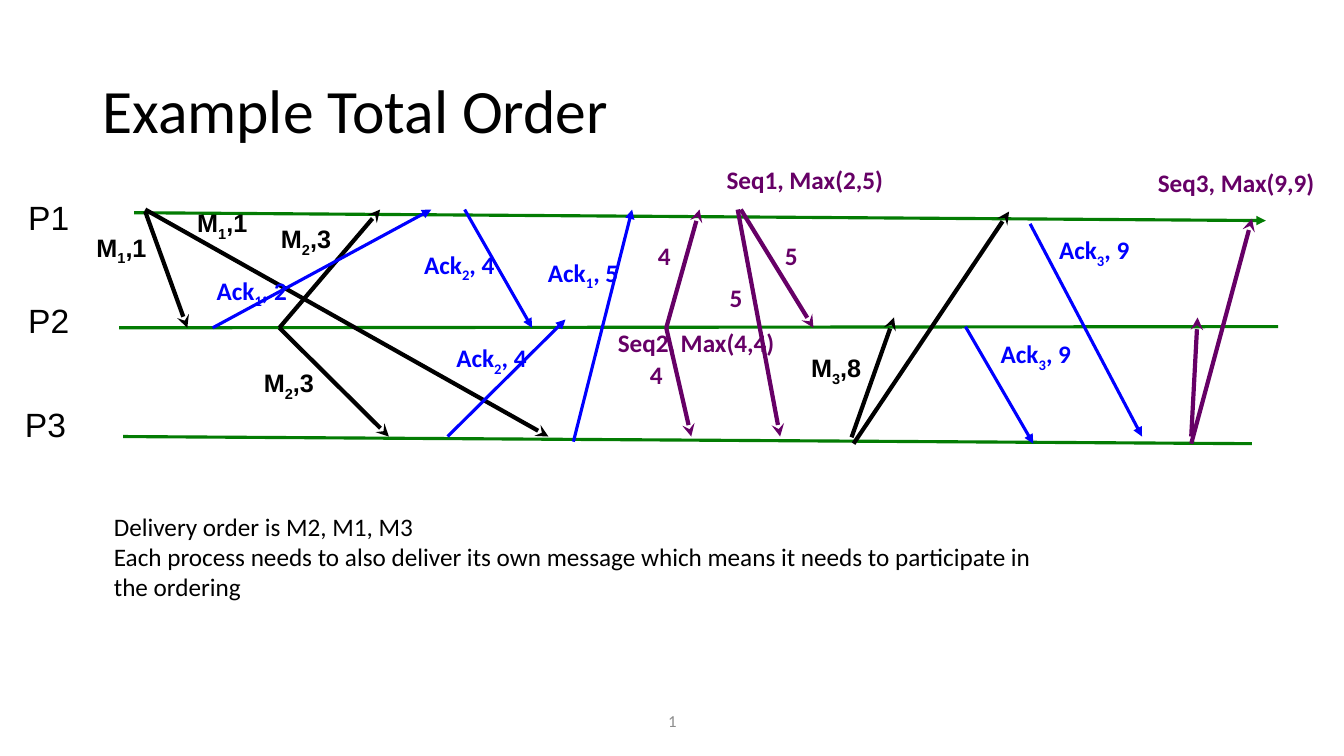
import pptx
import pptx.util
import pptx.dml.color
import pptx.enum.shapes
import pptx.enum.text
import pptx.oxml.ns
import lxml.etree

Cm = pptx.util.Cm
BLACK = pptx.dml.color.RGBColor(0x00, 0x00, 0x00)
GREEN = pptx.dml.color.RGBColor(0x03, 0x7C, 0x03)
BLUE = pptx.dml.color.RGBColor(0x00, 0x00, 0xFF)
PURPLE = pptx.dml.color.RGBColor(0x66, 0x00, 0x66)
GRAY = pptx.dml.color.RGBColor(0x8C, 0x8C, 0x8C)

presentation = pptx.Presentation()
presentation.slide_width = Cm(33.87)
presentation.slide_height = Cm(19.05)
slide = presentation.slides.add_slide(presentation.slide_layouts[6])


def add_line(points, color, width, arrowhead=None):
    connector = slide.shapes.add_connector(
        pptx.enum.shapes.MSO_CONNECTOR.STRAIGHT, *[Cm(value) for value in points])
    connector.line.color.rgb = color
    connector.line.width = pptx.util.Pt(width)
    if arrowhead:
        lxml.etree.SubElement(
            connector.line._get_or_add_ln(), pptx.oxml.ns.qn("a:tailEnd"), type=arrowhead)
    lxml.etree.SubElement(connector._element.spPr, pptx.oxml.ns.qn("a:effectLst"))


def add_text(text, box, size, color, font="Calibri", bold=False, wrap=True):
    text_box = slide.shapes.add_textbox(*[Cm(value) for value in box])
    text_frame = text_box.text_frame
    text_frame.word_wrap = wrap
    for index, line in enumerate(text.split("\n")):
        paragraph = text_frame.add_paragraph() if index else text_frame.paragraphs[0]
        for position, part in enumerate(line.split("_")):
            run = paragraph.add_run()
            run.text = part
            run.font.name = font
            run.font.size = pptx.util.Pt(size)
            run.font.bold = bold
            run.font.color.rgb = color
            if position % 2:
                run.font._element.set("baseline", "-25000")
    return text_frame


title = add_text("Example Total Order", (2.33, 1.01, 29.21, 3.68), 44, BLACK)
title.vertical_anchor = pptx.enum.text.MSO_ANCHOR.MIDDLE
title.paragraphs[0].line_spacing = 0.9

P1, P2, P3 = 5.28, 8.26, 11.0

for points, arrowhead in [
    ((3.38, 5.36, 31.9, 5.56), "triangle"),
    ((3.0, P2, 32.21, 8.23), None),
    ((3.1, P3, 31.55, 11.18), None),
]:
    add_line(points, GREEN, 2.25, arrowhead)

messages = [
    (3.66, 5.33, 4.72, P2),
    (3.66, P1, 13.82, P3),
    (7.04, P2, 9.58, P1),
    (7.04, P2, 9.8, P3),
    (21.46, 11.02, 22.53, 8.0),
    (21.51, 11.18, 25.43, 5.33),
]
acknowledgements = [
    (5.36, P2, 10.87, P1),
    (14.45, 11.13, 15.93, P1),
    (11.71, P1, 13.41, P2),
    (11.28, P3, 14.25, 8.05),
    (25.96, 5.64, 28.78, P3),
    (24.33, 8.23, 26.04, 11.18),
]
sequences = [
    (18.67, P1, 20.5, P2),
    (18.59, P1, 19.66, P3),
    (16.79, P2, 17.42, P3),
    (16.79, P2, 17.63, P1),
    (30.02, P3, 30.18, 8.0),
    (30.02, 11.18, 31.55, 5.51),
]
for arrows, color, width, arrowhead in [
    (messages, BLACK, 3, "stealth"),
    (acknowledgements, BLUE, 2.25, "triangle"),
    (sequences, PURPLE, 3, "stealth"),
]:
    for points in arrows:
        add_line(points, color, width, arrowhead)

for process, left, top in [("P1", 0.46, 4.83), ("P2", 0.46, 7.44), ("P3", 0.38, 10.06)]:
    add_text(process, (left, top, 3.2, 1.28), 24, BLACK, "Arial")

message_labels = [
    ("M_1_,1", 2.18, 5.72),
    ("M_1_,1", 4.72, 5.11),
    ("M_2_,3", 6.83, 5.51),
    ("M_2_,3", 6.4, 9.14),
    ("M_3_,8", 20.19, 8.76),
]
acknowledgement_labels = [
    ("Ack_1_, 2", 5.21, 6.81),
    ("Ack_1_, 5", 13.56, 6.35),
    ("Ack_2_, 4", 10.44, 6.15),
    ("Ack_2_, 4", 11.25, 8.51),
    ("Ack_3_, 9", 26.44, 5.79),
    ("Ack_3_, 9", 24.97, 8.41),
]
sequence_labels = [
    ("Seq1, Max(2,5)", 18.06, 4.01),
    ("Seq2, Max(4,4)", 15.32, 8.13),
    ("Seq3, Max(9,9)", 28.93, 4.09),
]
number_labels = [
    ("4", 16.33, 5.92),
    ("4", 16.13, 8.92),
    ("5", 18.14, 6.99),
    ("5", 19.53, 5.92),
]
for labels, width, color, font, wrap in [
    (message_labels, 2.54, BLACK, "Arial", True),
    (acknowledgement_labels, 2.34, BLUE, "Calibri", False),
    (sequence_labels, 4.5, PURPLE, "Calibri", False),
    (number_labels, 0.86, PURPLE, "Calibri", False),
]:
    for text, left, top in labels:
        add_text(text, (left, top, width, 1.02), 18, color, font, True, wrap)

add_text(
    "Delivery order is M2, M1, M3\n"
    "Each process needs to also deliver its own message which means "
    "it needs to participate in the ordering",
    (2.62, 12.75, 23.77, 2.57), 18, BLACK)

slide_number = add_text("1", (11.23, 17.65, 11.43, 1.02), 12, GRAY)
slide_number.vertical_anchor = pptx.enum.text.MSO_ANCHOR.MIDDLE
slide_number.paragraphs[0].alignment = pptx.enum.text.PP_ALIGN.CENTER

presentation.save("out.pptx")
